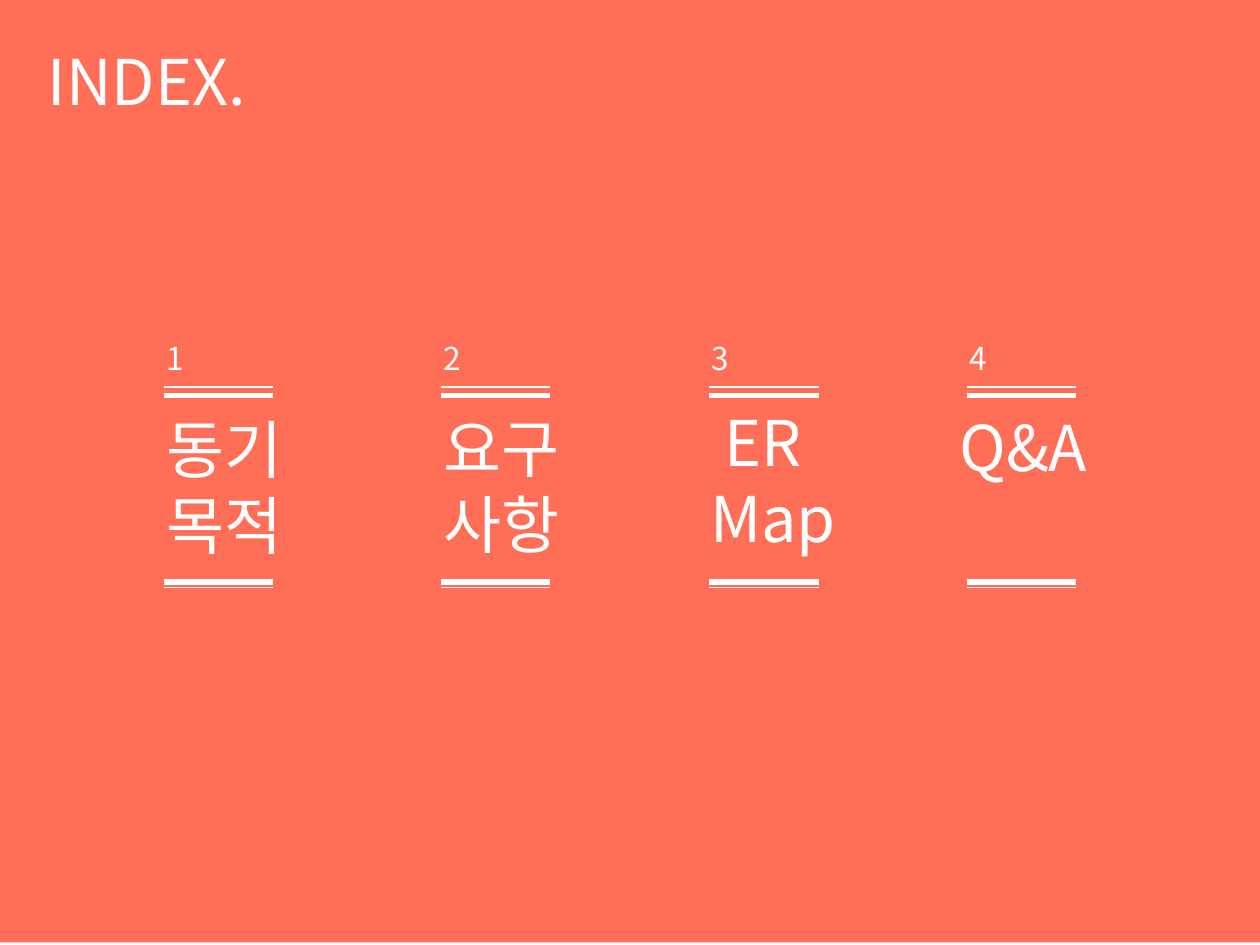
import pptx
import pptx.dml.color
import pptx.enum.shapes
import pptx.enum.text
import pptx.oxml.ns
import pptx.util
from lxml import etree
from pptx.util import Cm

CORAL = pptx.dml.color.RGBColor(0xFF, 0x6E, 0x57)
WHITE = pptx.dml.color.RGBColor(0xFF, 0xFF, 0xFF)
FONT = "Noto Sans CJK KR"
FRAME = {
    "word_wrap": True,
    "auto_size": pptx.enum.text.MSO_AUTO_SIZE.NONE,
    "vertical_anchor": pptx.enum.text.MSO_ANCHOR.TOP,
}
RULES = [(1.1, 0.75), (1.27, 3), (5.03, 3), (5.14, 0.75)]
ITEMS = [
    (3.3, "동기 목적", -0.2, 1.45),
    (8.89, "요구사항", -0.2, 1.43),
    (14.3, " ER\nMap", -0.23, 1.32),
    (19.5, "Q&A", -0.41, 1.41),
]


def set_attrs(obj, values):
    """Set each named attribute of an object."""
    for name, value in values.items():
        setattr(obj, name, value)


def write(sp, text, size):
    """Fill a text shape with left-aligned white text."""
    tf = sp.text_frame
    set_attrs(tf, FRAME)
    tf.text = text
    for p in tf.paragraphs:
        p.alignment = pptx.enum.text.PP_ALIGN.LEFT
        for r in p.runs:
            set_attrs(r.font, {"name": FONT, "size": pptx.util.Pt(size)})
            r.font.color.rgb = WHITE
            ea = etree.SubElement(r.font._element, pptx.oxml.ns.qn("a:ea"))
            ea.set("typeface", FONT)


def add_text(slide, x, y, w, h, text, size):
    """Add a text box, measured in centimetres."""
    sp = slide.shapes.add_textbox(Cm(x), Cm(y), Cm(w), Cm(h))
    write(sp, text, size)


def add_rule(slide, x, y, w, weight):
    """Add a horizontal white rule."""
    line = slide.shapes.add_connector(
        pptx.enum.shapes.MSO_CONNECTOR.STRAIGHT, Cm(x), Cm(y), Cm(x + w), Cm(y)
    )
    line.line.color.rgb = WHITE
    line.line.width = pptx.util.Pt(weight)
    etree.SubElement(line._element.spPr, pptx.oxml.ns.qn("a:effectLst"))


def add_background(slide, x, y, w, h):
    """Add the coral panel behind everything else."""
    sp = slide.shapes.add_shape(
        pptx.enum.shapes.MSO_SHAPE.RECTANGLE, Cm(x), Cm(y), Cm(w), Cm(h)
    )
    sp.shadow.inherit = False
    sp.fill.solid()
    sp.fill.fore_color.rgb = CORAL
    sp.line.fill.background()
    slide.shapes._spTree.insert(2, sp._element)


def add_title(slide, x, y, w, h):
    """Move and format the title placeholder."""
    sp = slide.shapes.title
    set_attrs(sp, {"left": Cm(x), "top": Cm(y), "width": Cm(w), "height": Cm(h)})
    write(sp, "INDEX.", 36)


def add_item(slide, x, y, w, number, label, dx, dy):
    """Add one numbered index entry between its double rules."""
    add_text(slide, x - 0.2, y, w + 1, 1.02, str(number), 18)
    add_text(slide, x + dx, y + dy, w + 1.1, 3.33, label, 36)
    for offset, weight in RULES:
        add_rule(slide, x, y + offset, w, weight)


def main():
    """Build and save the index slide."""
    prs = pptx.Presentation()
    set_attrs(prs, {"slide_width": Cm(25.4), "slide_height": Cm(19.05)})
    slide = prs.slides.add_slide(prs.slide_layouts[5])
    add_background(slide, 0, -0.05, 25.4, 19.05)
    add_title(slide, 0.71, 0.72, 8.61, 1.8)
    for number, (x, label, dx, dy) in enumerate(ITEMS, 1):
        add_item(slide, x, 6.7, 2.2, number, label, dx, dy)
    prs.save("out.pptx")


if __name__ == "__main__":
    main()
